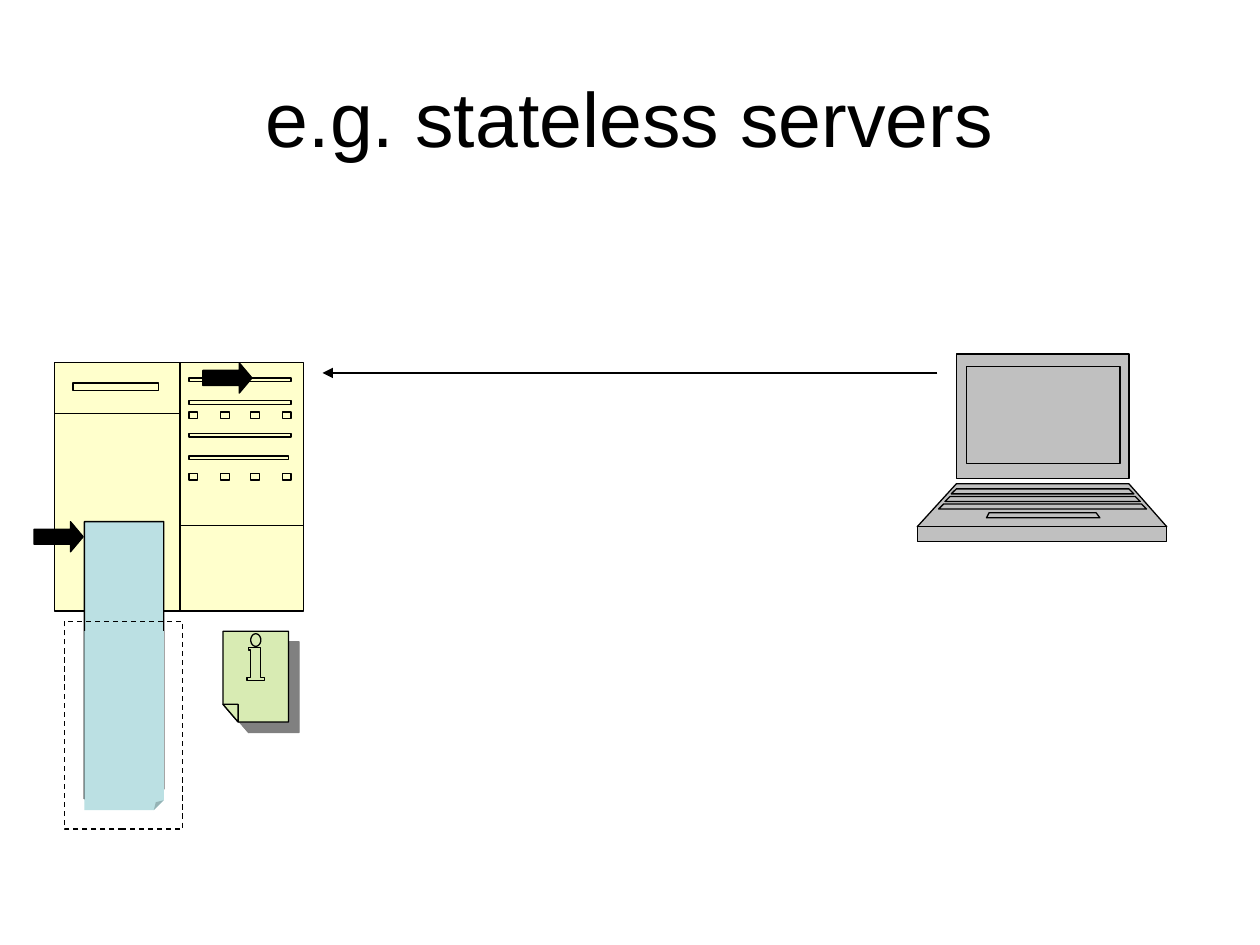
import copy
import math

from lxml import etree
from pptx import Presentation
from pptx import util as u
from pptx.dml.color import RGBColor
from pptx.enum import dml, shapes, text
from pptx.oxml import ns

BLACK = RGBColor(0x00, 0x00, 0x00)
CREAM = RGBColor(0xFF, 0xFF, 0xCC)
GRAY = RGBColor(0xC0, 0xC0, 0xC0)
AQUA = RGBColor(0xBB, 0xE0, 0xE3)
GREEN = RGBColor(0xD8, 0xEB, 0xB3)
SHADOW = RGBColor(0x80, 0x80, 0x80)
LINE_WIDTH = u.Pt(0.75)


def paint(shape, fill, line=BLACK):
    shape.shadow.inherit = False
    if fill is None:
        shape.fill.background()
    else:
        shape.fill.solid()
        shape.fill.fore_color.rgb = fill
    if line is None:
        shape.line.fill.background()
    else:
        shape.line.color.rgb = line
        shape.line.width = LINE_WIDTH
    return shape


def rectangle(left, top, width, height):
    right, bottom = left + width, top + height
    return [(left, top), (right, top), (right, bottom), (left, bottom)]


def trapezoid(top_left, top_right, top, bottom_left, bottom_right, bottom):
    return [(top_left, top), (top_right, top), (bottom_right, bottom), (bottom_left, bottom)]


def add_outlines(page, left, top, outlines, fill):
    builder = None
    for points in outlines:
        corners = [(u.Inches(left + x), u.Inches(top + y)) for x, y in points]
        if builder is None:
            builder = page.shapes.build_freeform(*corners[0], scale=1.0)
        else:
            builder.move_to(*corners[0])
        builder.add_line_segments(corners[1:], close=len(points) > 2)
    shape = paint(builder.convert_to_shape(), fill)
    split_outlines(shape)
    return shape


def split_outlines(shape):
    combined = shape._element.find(".//" + ns.qn("a:path"))
    holder = combined.getparent()
    steps = list(combined)
    for step in steps:
        combined.remove(step)
    empty = copy.deepcopy(combined)
    holder.remove(combined)
    for step in steps:
        if step.tag == ns.qn("a:moveTo"):
            outline = copy.deepcopy(empty)
            holder.append(outline)
        outline.append(step)


def add_preset(page, preset, left, top, width, height, fill, line=BLACK):
    shape = page.shapes.add_shape(
        preset, u.Inches(left), u.Inches(top), u.Inches(width), u.Inches(height))
    return paint(shape, fill, line)


def add_title(page, left, top, width, height):
    box = page.shapes.add_textbox(
        u.Inches(left), u.Inches(top), u.Inches(width), u.Inches(height))
    frame = box.text_frame
    frame.word_wrap = True
    frame.vertical_anchor = text.MSO_ANCHOR.MIDDLE
    frame.text = "e.g. stateless servers"
    para = frame.paragraphs[0]
    para.alignment = text.PP_ALIGN.CENTER
    font = para.runs[0].font
    font.name = "Arial"
    font.size = u.Pt(44)
    font.color.rgb = BLACK


def add_server(page, left, top, width, height):
    divider = 1.0
    outlines = [
        rectangle(0, 0, width, height),
        [(divider, 0), (divider, height)],
        [(0, 0.4), (divider, 0.4)],
        [(divider, 1.29), (width, 1.29)],
        rectangle(0.15, 0.16, 0.68, 0.06),
    ]
    for slot_top, slot_width in ((0.12, 0.81), (0.3, 0.81), (0.56, 0.81), (0.74, 0.79)):
        outlines.append(rectangle(1.07, slot_top, slot_width, 0.03))
    for light_top in (0.39, 0.88):
        for light_left in (1.07, 1.32, 1.56, 1.81):
            outlines.append(rectangle(light_left, light_top, 0.07, 0.05))
    add_outlines(page, left, top, outlines, CREAM)


def add_laptop(page, left, top, width, height):
    base_top = height - 0.12
    outlines = [
        rectangle(0.31, 0, 1.37, 0.99),
        trapezoid(0.31, 1.68, 1.03, 0, width, base_top),
        rectangle(0, base_top, width, 0.12),
        rectangle(0.39, 0.1, 1.22, 0.77),
        trapezoid(0.57, 1.42, 1.26, 0.55, 1.45, 1.3),
    ]
    for row in range(3):
        spread = 0.05 * row
        row_top = 1.07 + 0.06 * row
        outlines.append(trapezoid(
            0.31 - spread, 1.68 + spread, row_top, 0.27 - spread, 1.72 + spread, row_top + 0.04))
    add_outlines(page, left, top, outlines, GRAY)


def add_info_document(page, left, top, width, height):
    fold_x, fold_y = 0.12, height - 0.14
    sheet = [(0, 0), (width, 0), (width, height), (fold_x, height), (0, fold_y)]
    fold = [(0, fold_y), (fold_x, fold_y), (fold_x, height)]
    stem = [(0.2, 0.13), (0.3, 0.13), (0.3, 0.37), (0.33, 0.37), (0.33, 0.39),
            (0.19, 0.39), (0.19, 0.37), (0.22, 0.37), (0.22, 0.15), (0.2, 0.15)]
    angles = [math.tau * step / 24 for step in range(24)]
    dot = [(width / 2 + 0.04 * math.cos(angle), 0.07 + 0.05 * math.sin(angle))
           for angle in angles]
    shape = add_outlines(page, left, top, [sheet, fold, stem, dot], GREEN)
    effects = shape._element.spPr.find(ns.qn("a:effectLst"))
    shadow = etree.SubElement(
        effects, ns.qn("a:outerShdw"), dist=str(u.Pt(8.5)), dir="2700000",
        algn="ctr", rotWithShape="0")
    etree.SubElement(shadow, ns.qn("a:srgbClr"), val=str(SHADOW))


def add_block_arrow(page, left, top, width, height):
    arrow = add_preset(
        page, shapes.MSO_SHAPE.RIGHT_ARROW, left, top, width, height, BLACK)
    arrow.adjustments[0] = 0.5
    arrow.adjustments[1] = 0.42


def add_memory_sheet(page, left, top, width, height, line=BLACK):
    sheet = add_preset(
        page, shapes.MSO_SHAPE.FOLDED_CORNER, left, top, width, height, AQUA, line)
    guides = sheet._element.find(".//" + ns.qn("a:avLst"))
    etree.SubElement(guides, ns.qn("a:gd"), name="adj", fmla="val 12500")


def add_dashed_frame(page, left, top, width, height):
    frame = add_preset(
        page, shapes.MSO_SHAPE.RECTANGLE, left, top, width, height, None)
    frame.line.dash_style = dml.MSO_LINE.DASH


def add_request(page, start_x, end_x, y):
    request = page.shapes.add_connector(
        shapes.MSO_CONNECTOR.STRAIGHT,
        u.Inches(start_x), u.Inches(y), u.Inches(end_x), u.Inches(y))
    request.line.color.rgb = BLACK
    request.line.width = LINE_WIDTH
    properties = request._element.spPr
    etree.SubElement(properties.find(ns.qn("a:ln")), ns.qn("a:tailEnd"), type="triangle")
    etree.SubElement(properties, ns.qn("a:effectLst"))


def main():
    deck = Presentation()
    deck.slide_width = u.Inches(10)
    deck.slide_height = u.Inches(7.5)
    page = deck.slides.add_slide(deck.slide_layouts[6])
    add_title(page, 0.5, 0.3, 9, 1.25)
    add_server(page, 0.43, 2.88, 1.98, 1.97)
    add_laptop(page, 7.28, 2.81, 1.98, 1.49)
    add_memory_sheet(page, 0.67, 4.14, 0.63, 2.2)
    add_request(page, 7.44, 2.56, 2.96)
    add_block_arrow(page, 0.27, 4.14, 0.39, 0.24)
    add_dashed_frame(page, 0.51, 4.93, 0.94, 1.65)
    add_info_document(page, 1.77, 5.01, 0.52, 0.72)
    add_memory_sheet(page, 0.67, 5.01, 0.63, 1.42, line=None)
    add_block_arrow(page, 1.61, 2.88, 0.39, 0.24)
    deck.save("out.pptx")


if __name__ == "__main__":
    main()
